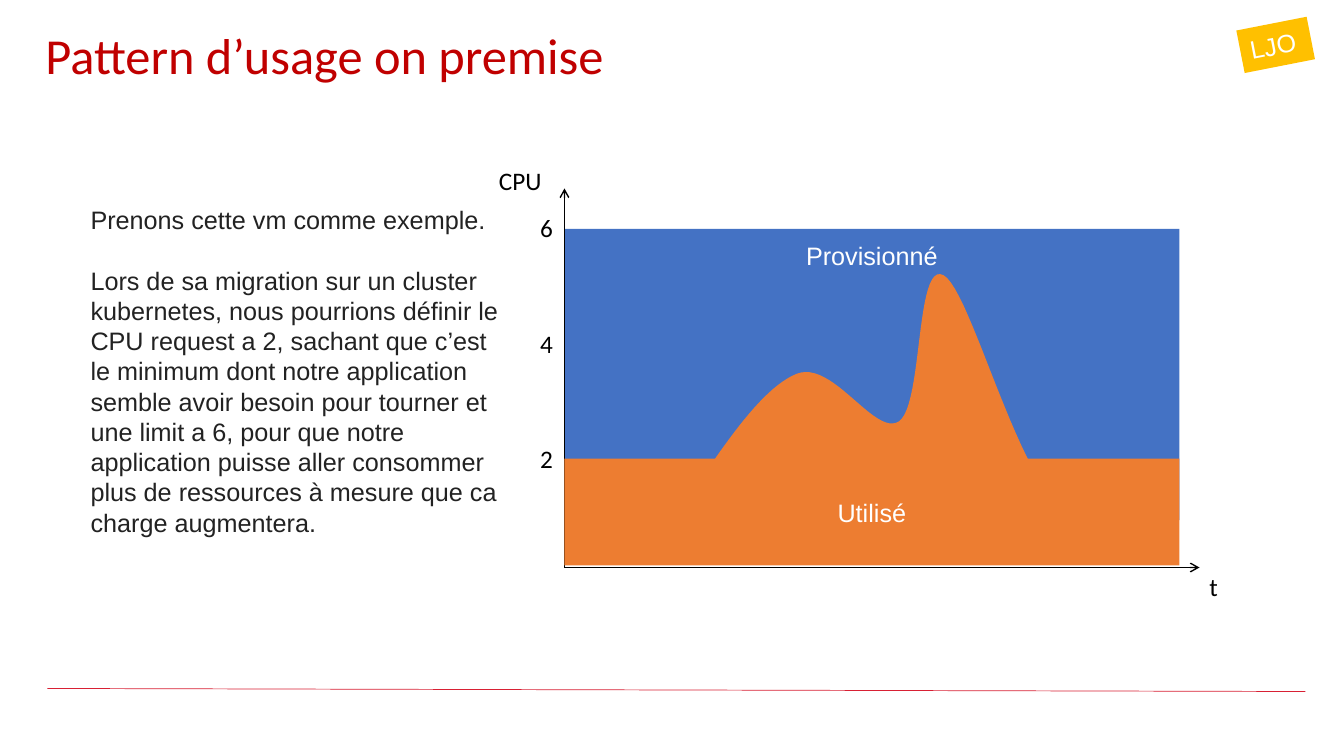
from lxml.etree import SubElement as Sub
from pptx import Presentation
from pptx.dml.color import RGBColor as RGB
from pptx.enum.shapes import MSO_CONNECTOR as Link, MSO_SHAPE as Form
from pptx.enum.text import MSO_ANCHOR as Anchor, MSO_AUTO_SIZE as Auto, PP_ALIGN as Align
from pptx.oxml.ns import qn
from pptx.util import Inches, Pt

RED = RGB(0xC0, 0x00, 0x00)
ROSE = RGB(0xD8, 0x20, 0x34)
BLUE = RGB(0x44, 0x72, 0xC4)
ORANGE = RGB(0xED, 0x7D, 0x31)
GOLD = RGB(0xFF, 0xC0, 0x00)
BLACK = RGB(0x00, 0x00, 0x00)
INK = RGB(0x22, 0x22, 0x22)
WHITE = RGB(0xFF, 0xFF, 0xFF)

LEFT, BASE = 42, 75.07
WIDE = 45.75
CURVE = [
    (50.63, 67.47),
    (53.63, 59.47), (56.55, 51.47), (59.25, 49.47),
    (61.95, 47.47), (65.1, 57.87), (66.9, 55.73),
    (68.7, 53.47), (68.1, 34.4), (70.2, 36.4),
    (72.3, 38.4), (75.98, 65.33), (79.58, 67.73),
]
BODY = [
    "Prenons cette vm comme exemple.",
    "Lors de sa migration sur un cluster kubernetes, nous pourrions définir le "
    "CPU request a 2, sachant que c’est le minimum dont notre application semble "
    "avoir besoin pour tourner et une limit a 6, pour que notre application puisse "
    "aller consommer plus de ressources à mesure que ca charge augmentera.",
]


def put(item, vals):
    for key, val in vals.items():
        setattr(item, key, val)


def bend(nodes, steps=24):
    for i in range(0, len(nodes) - 1, 3):
        a, b, c, d = nodes[i:i + 4]
        for n in range(1, steps + 1):
            t = n / steps
            u = 1 - t
            yield tuple(u**3 * p + 3 * u * u * t * q + 3 * u * t * t * r + t**3 * s
                        for p, q, r, s in zip(a, b, c, d))


class Page:
    def __init__(self):
        self.deck = Presentation()
        put(self.deck, {"slide_width": Inches(13.33), "slide_height": Inches(7.5)})
        self.slide = self.deck.slides.add_slide(self.deck.slide_layouts[5])
        self.shapes = self.slide.shapes

    def spot(self, x, y):
        return (round(self.deck.slide_width * x / 100),
                round(self.deck.slide_height * y / 100))

    def area(self, x, y, w, h):
        return self.spot(x, y) + self.spot(w, h)

    def letter(self, shape, lines, tint, face="Arial", size=18, frame={}, para={}):
        text = shape.text_frame
        put(text, {"word_wrap": True, "auto_size": Auto.NONE, **frame})
        text.text = "\n".join(lines)
        for item in text.paragraphs:
            put(item, para)
            put(item.font, {"name": face, "size": Pt(size)})
            item.font.color.rgb = tint
        return text

    def title(self, text, *box):
        head = self.shapes.title
        put(head, dict(zip(("left", "top", "width", "height"), self.area(*box))))
        self.letter(head, [text], RED, "Calibri", 36,
                    {"vertical_anchor": Anchor.MIDDLE},
                    {"alignment": Align.LEFT, "line_spacing": 0.9})

    def paint(self, shape, tint):
        shape.shadow.inherit = False
        shape.fill.solid()
        shape.fill.fore_color.rgb = tint
        shape.line.fill.background()

    def block(self, text, tint, *box, turn=0, frame={}, align=Align.CENTER):
        shape = self.shapes.add_shape(Form.RECTANGLE, *self.area(*box))
        shape.rotation = turn
        self.paint(shape, tint)
        self.letter(shape, [text], WHITE,
                    frame={"vertical_anchor": Anchor.MIDDLE, **frame},
                    para={"alignment": align})

    def line(self, start, end, tint, width, arrow=False):
        link = self.shapes.add_connector(
            Link.STRAIGHT, *self.spot(*start), *self.spot(*end))
        link.line.color.rgb = tint
        link.line.width = Pt(width)
        props = link._element.spPr
        if arrow:
            Sub(props.find(qn("a:ln")), qn("a:tailEnd"), type="arrow")
        Sub(props, qn("a:effectLst"))

    def wave(self, nodes, tint):
        pen = self.shapes.build_freeform(*self.spot(*nodes[0]))
        pen.add_line_segments([self.spot(*dot) for dot in bend(nodes)])
        self.paint(pen.convert_to_shape(), tint)

    def label(self, text, x, y, w=2.55):
        box = self.shapes.add_textbox(*self.area(x, y, w, 5.33))
        self.letter(box, [text], BLACK, "Calibri", frame={"word_wrap": False})

    def prose(self, lines, *box):
        shape = self.shapes.add_textbox(*self.area(*box))
        text = self.letter(shape, lines, INK, para={"line_spacing": Pt(21.6)})
        for item in text.paragraphs[1:]:
            item.space_before = Pt(21.6)


def main():
    page = Page()
    page.title("Pattern d’usage on premise", 2.63, 0.13, 92.25, 15.2)
    page.block("Provisionné", BLUE, LEFT, 30.27, WIDE, 38.53,
               frame={"vertical_anchor": Anchor.TOP, "margin_top": Inches(0.11)})
    page.line((3.53, 91.07), (97.13, 91.47), ROSE, 0.5)
    for end in ((LEFT, 24.93), (89.25, BASE)):
        page.line((LEFT, BASE), end, BLACK, 1, True)
    page.wave(CURVE, ORANGE)
    page.block("Utilisé", ORANGE, LEFT, 60.67, WIDE, 14.13)
    page.label("CPU", 36.38, 21.2, 5.48)
    page.label("t", 89.25, 74.93, 2.03)
    for mark in (2, 4, 6):
        page.label(str(mark), 39.45, 73.27 - 7.63 * mark)
    page.prose(BODY, 6, 26.4, 31.95, 45.73)
    page.block("LJO", GOLD, 92.25, 3.07, 5.33, 5.73, turn=348.9, align=Align.LEFT)
    page.deck.save("out.pptx")


if __name__ == "__main__":
    main()
